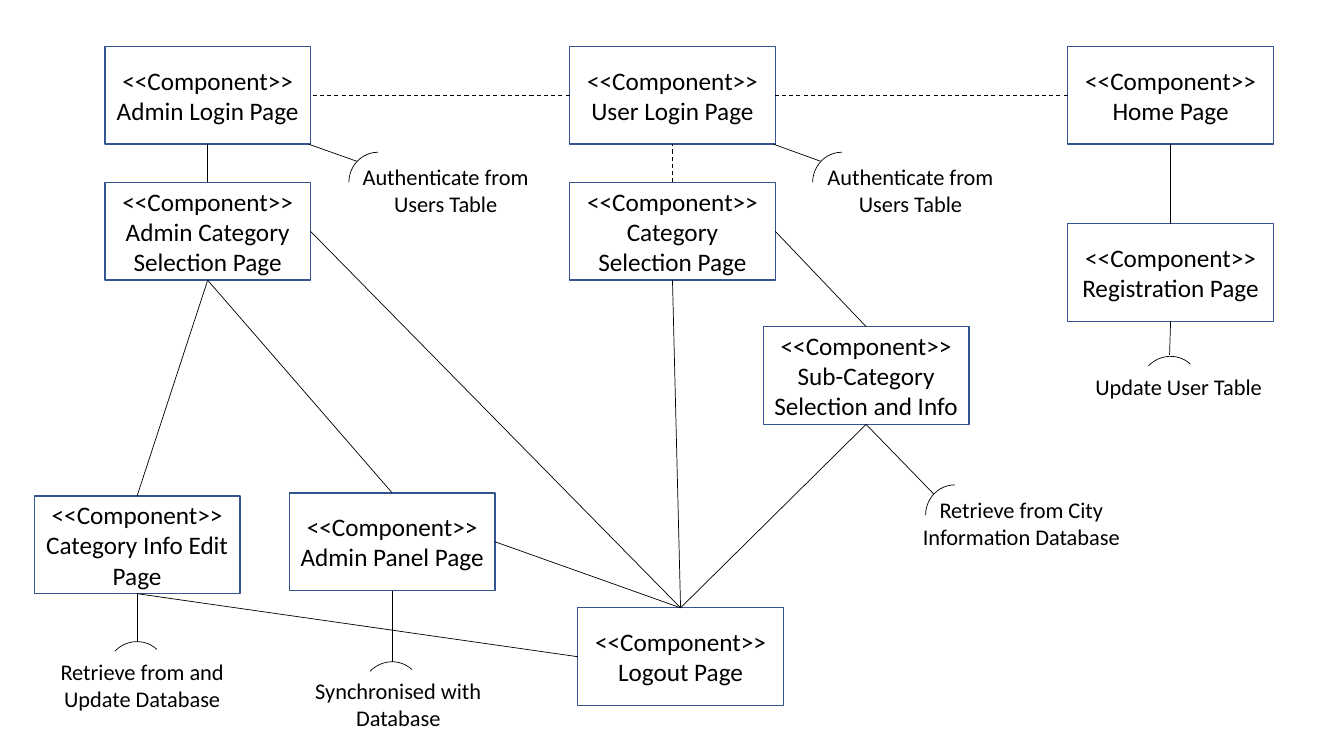
import pptx
import pptx.dml.color
import pptx.enum.dml
import pptx.enum.shapes
import pptx.enum.text
import pptx.oxml
import pptx.oxml.ns
import pptx.util

Inches = pptx.util.Inches
Pt = pptx.util.Pt

COLORS = {"paper": "FFFFFF", "border": "325491", "ink": "000000"}
FONT = "Calibri"
BOX_WIDTH, BOX_HEIGHT = 2.04, 0.97
ARC_WIDTH, ARC_HEIGHT = 0.6, 0.58
LABEL_WIDTH = 2.22
TOP, LEFT, BOTTOM, RIGHT = range(4)

COMPONENTS = {
    "User Login Page": (5.65, 0.46),
    "Category Selection Page": (5.65, 1.81),
    "Category Info Edit Page": (0.34, 4.92),
    "Admin Login Page": (1.04, 0.46),
    "Admin Category Selection Page": (1.04, 1.81),
    "Sub-Category Selection and Info": (7.57, 3.24),
    "Admin Panel Page": (2.87, 4.89),
    "Home Page": (10.59, 0.46),
    "Registration Page": (10.59, 2.22),
    "Logout Page": (5.73, 6.03),
}

DASHED_LINKS = [
    ("Category Selection Page", TOP, "User Login Page", BOTTOM),
    ("Home Page", LEFT, "User Login Page", RIGHT),
    ("User Login Page", LEFT, "Admin Login Page", RIGHT),
]

SOLID_LINKS = [
    ("Admin Login Page", BOTTOM, "Admin Category Selection Page", TOP),
    ("Admin Category Selection Page", BOTTOM, "Admin Panel Page", TOP),
    ("Admin Category Selection Page", BOTTOM, "Category Info Edit Page", TOP),
    ("Category Selection Page", RIGHT, "Sub-Category Selection and Info", TOP),
    ("Home Page", BOTTOM, "Registration Page", TOP),
    ("Category Selection Page", BOTTOM, "Logout Page", TOP),
    ("Sub-Category Selection and Info", BOTTOM, "Logout Page", TOP),
    ("Category Info Edit Page", BOTTOM, "Logout Page", LEFT),
    ("Admin Panel Page", RIGHT, "Logout Page", TOP),
    ("Admin Category Selection Page", RIGHT, "Logout Page", TOP),
]

SLANTED, UPRIGHT = 270, 313.5
CORNER, MIDDLE = 2.02, 1.02

SOCKETS = [
    ("User Login Page", CORNER, SLANTED, (8.05, 1.52), (8.14, 1.6),
     "Authenticate from Users Table", (7.92, 1.57), 0.64),
    ("Admin Login Page", CORNER, SLANTED, (3.45, 1.52), (3.54, 1.6),
     "Authenticate from Users Table", (3.31, 1.57), 0.64),
    ("Category Info Edit Page", MIDDLE, UPRIGHT, (1.05, 6.37), (1.36, 6.37),
     "Retrieve from and Update Database", (0.3, 6.48), 0.64),
    ("Admin Panel Page", MIDDLE, UPRIGHT, (3.58, 6.57), (3.89, 6.57),
     "Synchronised with Database", (2.84, 6.67), 0.64),
    ("Sub-Category Selection and Info", MIDDLE, SLANTED, (9.17, 4.82), (9.26, 4.9),
     "Retrieve from City Information Database", (9.02, 4.87), 0.64),
    ("Registration Page", MIDDLE, UPRIGHT, (11.3, 3.54), (11.6, 3.52),
     "Update User Table", (10.58, 3.65), 0.37),
]


def color(name):
    return pptx.dml.color.RGBColor.from_string(COLORS[name])


def write_text(frame, text, size):
    frame.word_wrap = True
    frame.text = text
    for para in frame.paragraphs:
        para.alignment = pptx.enum.text.PP_ALIGN.CENTER
        for span in para.runs:
            span.font.name = FONT
            span.font.size = Pt(size)
            span.font.color.rgb = color("ink")


def set_line(line, name, width):
    line.color.rgb = color(name)
    line.width = Pt(width)


def add_component(page, name, left, top):
    box = page.shapes.add_shape(
        pptx.enum.shapes.MSO_SHAPE.RECTANGLE,
        Inches(left), Inches(top), Inches(BOX_WIDTH), Inches(BOX_HEIGHT))
    box.shadow.inherit = False
    box.fill.solid()
    box.fill.fore_color.rgb = color("paper")
    set_line(box.line, "border", 1)
    box.text_frame.vertical_anchor = pptx.enum.text.MSO_ANCHOR.MIDDLE
    write_text(box.text_frame, "<<Component>>\n" + name, 18)
    return box


def add_line(page, start=(0, 0), end=(0, 0), width=0.5):
    line = page.shapes.add_connector(
        pptx.enum.shapes.MSO_CONNECTOR.STRAIGHT,
        *(Inches(value) for value in (*start, *end)))
    set_line(line.line, "ink", width)
    properties = line._element.spPr
    properties.append(pptx.oxml.parse_xml(
        "<a:effectLst %s/>" % pptx.oxml.ns.nsdecls("a")))
    return line


def add_link(page, boxes, link, dashed):
    source, source_side, target, target_side = link
    line = add_line(page, width=0.75 if dashed else 0.5)
    line.begin_connect(boxes[source], source_side)
    line.end_connect(boxes[target], target_side)
    if dashed:
        line.line.dash_style = pptx.enum.dml.MSO_LINE.DASH


def add_socket(page, component, start_offset, rotation, arc_place, tip,
               text, label_place, label_height):
    arc = page.shapes.add_shape(
        pptx.enum.shapes.MSO_SHAPE.ARC,
        *(Inches(value) for value in (*arc_place, ARC_WIDTH, ARC_HEIGHT)))
    arc.rotation = rotation
    arc.shadow.inherit = False
    arc.fill.background()
    set_line(arc.line, "ink", 0.5)

    box_left, box_top = COMPONENTS[component]
    add_line(page, (box_left + start_offset, box_top + BOX_HEIGHT), tip)

    label = page.shapes.add_textbox(
        *(Inches(value) for value in (*label_place, LABEL_WIDTH, label_height)))
    write_text(label.text_frame, text, 16)
    label.text_frame.auto_size = pptx.enum.text.MSO_AUTO_SIZE.SHAPE_TO_FIT_TEXT


def main():
    deck = pptx.Presentation()
    deck.slide_width = Inches(13.33)
    deck.slide_height = Inches(7.5)
    page = deck.slides.add_slide(deck.slide_layouts[6])
    boxes = {name: add_component(page, name, *place)
             for name, place in COMPONENTS.items()}
    for links, dashed in ((DASHED_LINKS, True), (SOLID_LINKS, False)):
        for link in links:
            add_link(page, boxes, link, dashed)
    for socket in SOCKETS:
        add_socket(page, *socket)
    deck.save("out.pptx")


main()
